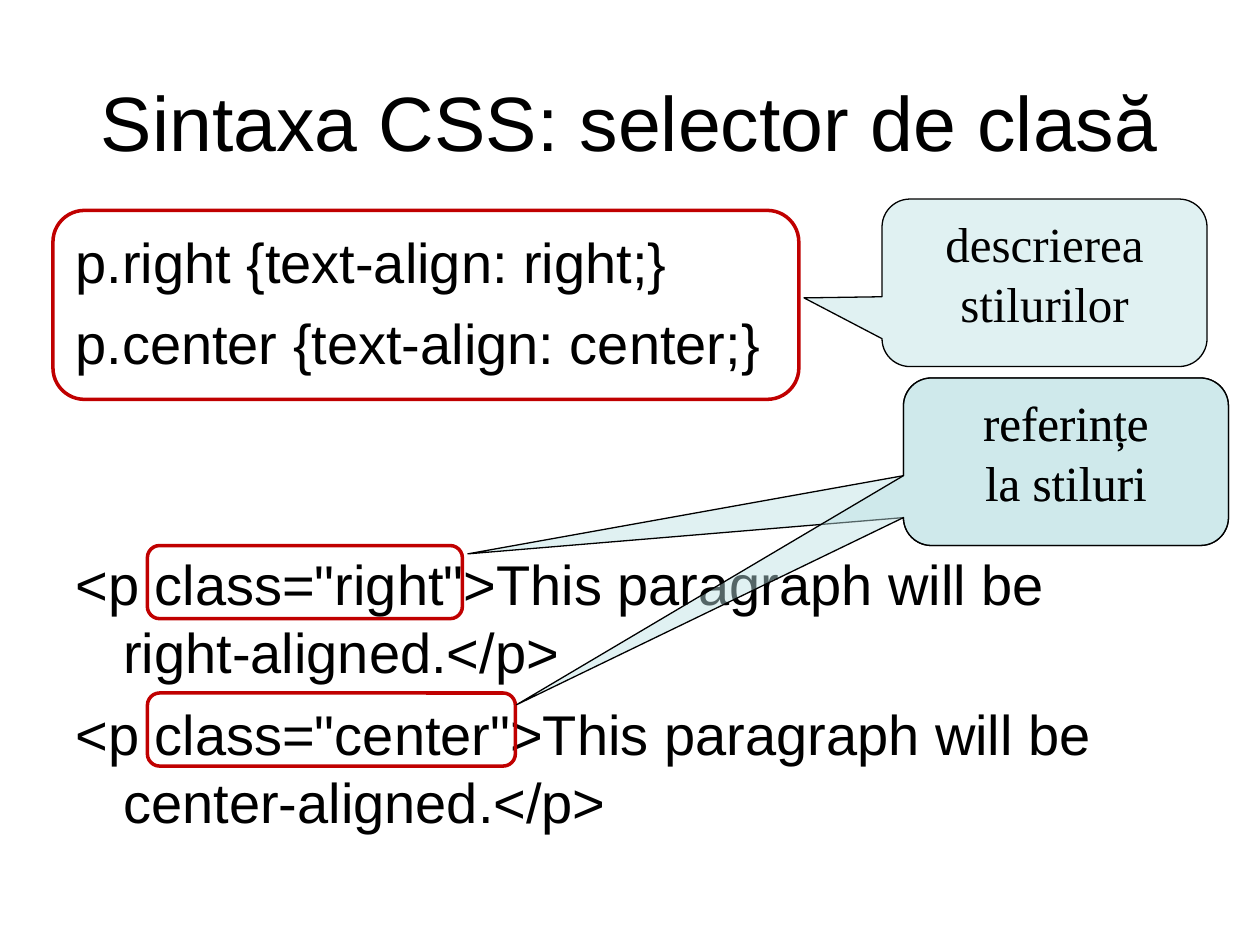
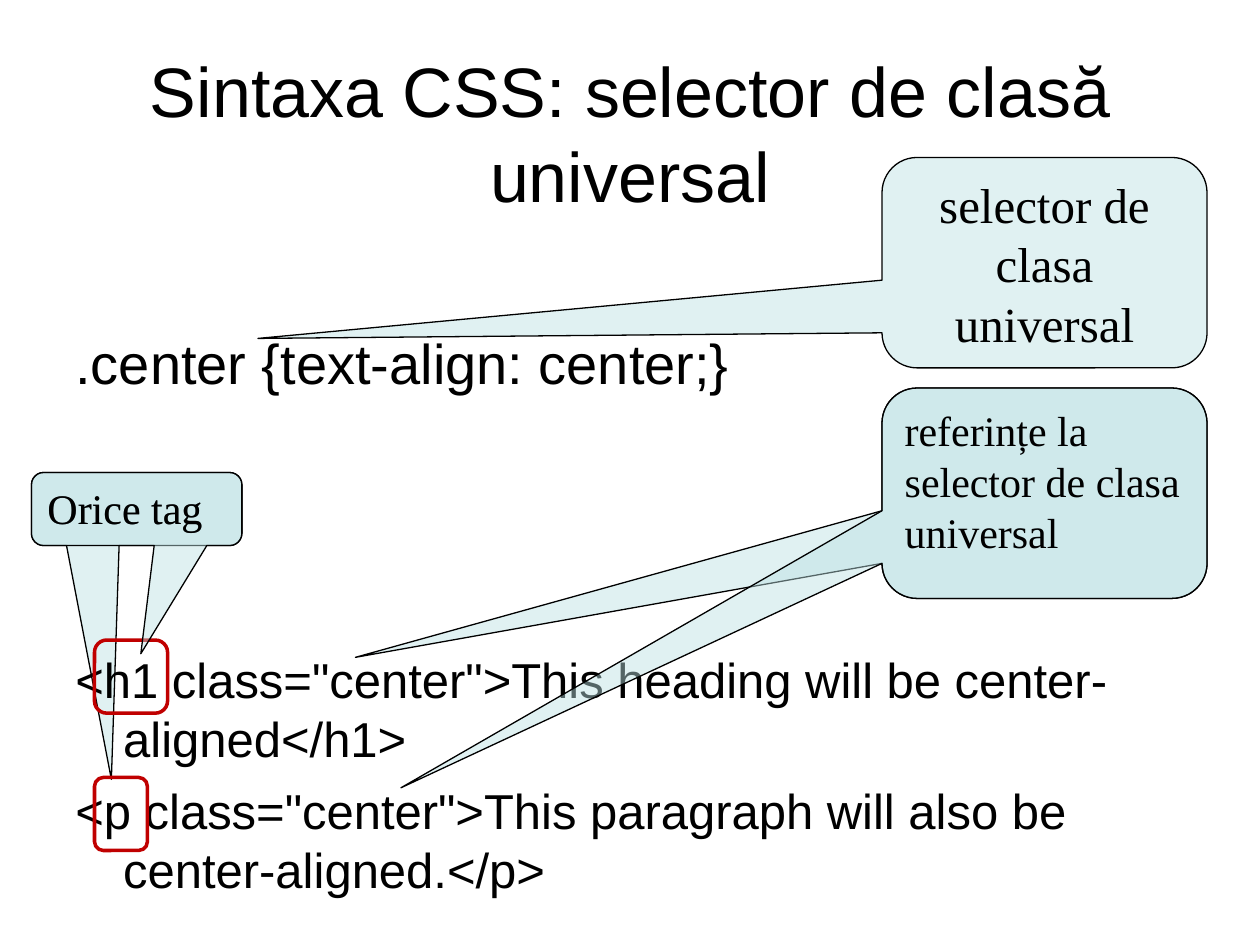
from dataclasses import dataclass
from typing import Any

from lxml.etree import SubElement
from pptx import Presentation
from pptx.dml.color import RGBColor
from pptx.enum.shapes import MSO_SHAPE
from pptx.enum.text import MSO_ANCHOR, PP_ALIGN
from pptx.oxml.ns import qn
from pptx.util import Inches, Pt

# Shared colours, fonts and formats
BLACK = RGBColor(0x00, 0x00, 0x00)
RED = RGBColor(0xC0, 0x00, 0x00)
PALE_TEAL = RGBColor(0xBB, 0xE0, 0xE3)
CALLOUT_OPACITY = 45
CORNER = 0.167
LINE_PITCH = 1.21
HANGING_INDENT = Inches(0.38)
CODE_FONT = "Arial"
CALLOUT_FONT = "Times New Roman"
FRAME_FORMAT = {
    "word_wrap": True,
    "margin_left": Inches(0.1),
    "margin_right": Inches(0.1),
    "margin_top": Inches(0.05),
    "margin_bottom": Inches(0.05),
}


@dataclass(frozen=True)
class Box:
    left: float
    top: float
    width: float
    height: float

    def lengths(self) -> list[int]:
        return [Inches(side) for side in (self.left, self.top, self.width, self.height)]


@dataclass(frozen=True)
class Line:
    text: str
    size: int
    space_before: int = 0


@dataclass(frozen=True)
class Title:
    top: float
    line: Line


@dataclass(frozen=True)
class Code:
    top: float
    lines: tuple[Line, ...]


@dataclass(frozen=True)
class Highlight:
    box: Box


@dataclass(frozen=True)
class Callout:
    box: Box
    tip: tuple[float, float]  # from the centre, in widths and heights
    lines: tuple[Line, ...] = ()
    align: PP_ALIGN = PP_ALIGN.CENTER


Part = Title | Code | Highlight | Callout


def apply_format(target: Any, values: dict[str, Any]) -> None:
    for name, value in values.items():
        setattr(target, name, value)


def write_lines(text_frame: Any, lines: tuple[Line, ...], font: str, align: PP_ALIGN,
                anchor: MSO_ANCHOR = MSO_ANCHOR.TOP, hanging: bool = False) -> None:
    apply_format(text_frame, {**FRAME_FORMAT, "vertical_anchor": anchor})
    for index, line in enumerate(lines):
        paragraph = text_frame.paragraphs[0] if index == 0 else text_frame.add_paragraph()
        apply_format(paragraph, {
            "alignment": align,
            "line_spacing": Pt(round(line.size * LINE_PITCH, 1)),
            "space_before": Pt(line.space_before),
        })
        if hanging:
            properties = paragraph._p.get_or_add_pPr()
            properties.set("marL", str(HANGING_INDENT))
            properties.set("indent", str(-HANGING_INDENT))
        run = paragraph.add_run()
        run.text = line.text
        apply_format(run.font, {"name": font, "size": Pt(line.size)})
        run.font.color.rgb = BLACK


def add_outlined_shape(slide: Any, kind: MSO_SHAPE, box: Box, color: RGBColor, width: float) -> Any:
    shape = slide.shapes.add_shape(kind, *box.lengths())
    shape.shadow.inherit = False
    shape.fill.background()
    shape.line.color.rgb = color
    shape.line.width = Pt(width)
    return shape


def add_title(slide: Any, title: Title) -> None:
    text_box = slide.shapes.add_textbox(*Box(0.5, title.top, 9, 1.25).lengths())
    write_lines(text_box.text_frame, (title.line,), CODE_FONT, PP_ALIGN.CENTER, MSO_ANCHOR.MIDDLE)


def add_code(slide: Any, code: Code) -> None:
    text_box = slide.shapes.add_textbox(*Box(0.5, code.top, 9, 4.95).lengths())
    write_lines(text_box.text_frame, code.lines, CODE_FONT, PP_ALIGN.LEFT, hanging=True)


def add_highlight(slide: Any, highlight: Highlight) -> None:
    shape = add_outlined_shape(slide, MSO_SHAPE.ROUNDED_RECTANGLE, highlight.box, RED, 2)
    shape.adjustments[0] = CORNER


def add_callout(slide: Any, callout: Callout) -> None:
    shape = add_outlined_shape(
        slide, MSO_SHAPE.ROUNDED_RECTANGULAR_CALLOUT, callout.box, BLACK, 0.75)
    for index, value in enumerate((*callout.tip, CORNER)):
        shape.adjustments[index] = value
    shape.fill.solid()
    shape.fill.fore_color.rgb = PALE_TEAL
    color = shape._element.spPr.find(qn("a:solidFill")).find(qn("a:srgbClr"))
    SubElement(color, qn("a:alpha")).set("val", str(CALLOUT_OPACITY * 1000))
    write_lines(shape.text_frame, callout.lines, CALLOUT_FONT, callout.align)


DRAW = {Title: add_title, Code: add_code, Highlight: add_highlight, Callout: add_callout}

# Slide 1: class selector
STYLE_LINKS = Box(7.17, 3, 2.58, 1.33)
STYLE_LINKS_TEXT = (Line("referințe", 28), Line("la stiluri", 28))
CLASS_SELECTOR: tuple[Part, ...] = (
    Callout(Box(7, 1.58, 2.58, 1.33), (-0.74, 0.09),
            (Line("descrierea", 28), Line("stilurilor", 28))),
    Title(0.33, Line("Sintaxa CSS: selector de clasă", 44)),
    Code(1.75, (
        Line("p.right {text-align: right;}", 32),
        Line("p.center {text-align: center;}", 32, 8),
        Line('<p class="right">This paragraph will be right-aligned.</p>', 32, 99),
        Line('<p class="center">This paragraph will be center-aligned.</p>', 32, 8),
    )),
    Highlight(Box(1.17, 4.33, 2.5, 0.58)),
    Highlight(Box(1.17, 5.5, 2.92, 0.58)),
    Highlight(Box(0.42, 1.67, 5.92, 1.5)),
    Callout(STYLE_LINKS, (-1.84, 0.55), STYLE_LINKS_TEXT),
    Callout(STYLE_LINKS, (-1.69, 1.45), STYLE_LINKS_TEXT),
)

# Slide 2: universal class selector
ANY_TAG = Box(0.25, 3.75, 1.67, 0.58)
ANY_TAG_TEXT = (Line("Orice tag", 24),)
SELECTOR_LINKS = Box(7, 3.08, 2.58, 1.67)
UNIVERSAL_SELECTOR: tuple[Part, ...] = (
    Callout(ANY_TAG, (-0.12, 3.7), ANY_TAG_TEXT, PP_ALIGN.LEFT),
    Title(0.42, Line("Sintaxa CSS: selector de clasă universal", 40)),
    Code(2.55, (
        Line(".center {text-align: center;}", 32),
        Line('<h1 class="center">This heading will be center-aligned</h1>', 28, 145),
        Line('<p class="center">This paragraph will also be center-aligned.</p>', 28, 7),
    )),
    Callout(Box(7, 1.25, 2.58, 1.67), (-2.42, 0.36),
            (Line("selector de clasa universal", 28),)),
    Callout(SELECTOR_LINKS, (-2.12, 0.78)),
    Highlight(Box(0.75, 5.08, 0.58, 0.58)),
    Highlight(Box(0.75, 6.17, 0.42, 0.58)),
    Callout(SELECTOR_LINKS, (-1.98, 1.4),
            (Line("referințe la selector de clasa universal", 24),), PP_ALIGN.LEFT),
    Callout(ANY_TAG, (0.02, 1.98), ANY_TAG_TEXT, PP_ALIGN.LEFT),
)


def main() -> None:
    presentation = Presentation()
    apply_format(presentation, {"slide_width": Inches(10), "slide_height": Inches(7.5)})
    for parts in (CLASS_SELECTOR, UNIVERSAL_SELECTOR):
        slide = presentation.slides.add_slide(presentation.slide_layouts[6])
        for part in parts:
            DRAW[type(part)](slide, part)
    presentation.save("out.pptx")


if __name__ == "__main__":
    main()
